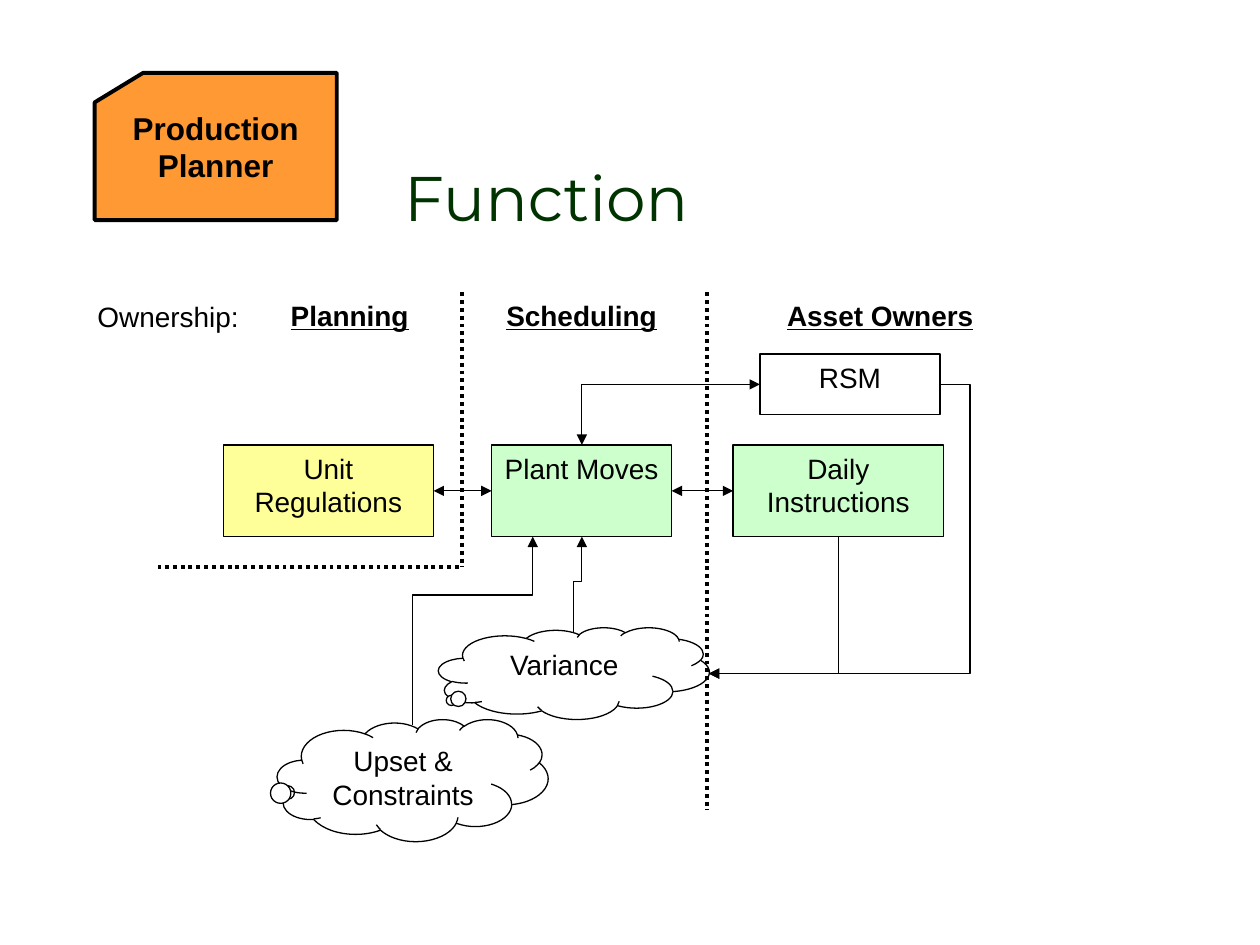
"""Build the production planner function slide."""
from lxml import etree
from pptx import Presentation
from pptx import util as u
from pptx.dml.color import RGBColor
from pptx.enum import dml, shapes, text
from pptx.oxml.ns import qn

KIND = shapes.MSO_SHAPE
LINK = shapes.MSO_CONNECTOR
BLACK, WHITE, GREEN = "000000", "FFFFFF", "CCFFCC"

TITLE = ("Function", (0.64, 3.07, 20.75, 1.78))
CARD = ("Production Planner", (1.91, 1.47, 4.88, 2.97))
BOXES = [
    ("Unit\nRegulations", (4.5, 8.97, 4.24, 1.85), "FFFF99"),
    ("Plant Moves", (9.91, 8.97, 3.63, 1.85), GREEN),
    ("Daily\nInstructions", (14.78, 8.97, 4.24, 1.85), GREEN),
    ("RSM", (15.32, 7.14, 3.63, 1.22), WHITE),
]
CLOUDS = [
    ("Variance", (8.84, 12.65, 5.46, 1.85), (-0.46, 0.3)),
    ("Upset & Constraints", (5.59, 14.5, 5.46, 2.46), (-0.46, 0.1)),
]
LABELS = [
    ("Planning", (4.88, 5.89, 4.34, 1.22), True),
    ("Scheduling", (9.91, 5.89, 3.63, 1.22), True),
    ("Asset Owners", (15.32, 5.89, 4.85, 1.22), True),
    ("Ownership:", (1.27, 5.92, 4.24, 1.22), False),
]
PAIRS = [("Unit\nRegulations", "Plant Moves"), ("Plant Moves", "Daily\nInstructions")]
# start, end, leaves upright, bend (None for a single corner), both heads
BENDS = [
    ((11.73, 8.97), (15.32, 7.75), True, None, True),
    ((16.9, 10.82), (14.29, 13.58), True, None, False),
    ((11.56, 12.75), (11.73, 10.82), True, 0.53, False),
    ((18.95, 7.75), (14.29, 13.58), False, -0.13, False),
    ((8.31, 14.62), (10.74, 10.82), True, 0.69, False),
]
DOTS = [
    ((14.26, 5.89), (14.26, 16.33)),
    ((9.31, 5.89), (9.31, 11.43)),
    ((9.25, 11.43), (3.18, 11.43)),
]


def rgb(code):
    return RGBColor.from_string(code)


def write(shape, words, size=16, face="Arial", color=BLACK, bold=False, under=False):
    frame = shape.text_frame
    frame.word_wrap = True
    frame.vertical_anchor = text.MSO_ANCHOR.TOP
    frame.text = words
    for para in frame.paragraphs:
        para.alignment = text.PP_ALIGN.CENTER
        for run in para.runs:
            font = run.font
            font.size, font.name = u.Pt(size), face
            font.bold, font.underline = bold, under
            font.color.rgb = rgb(color)


def draw(kind, place, fill, width=0.75):
    shape = tree.add_shape(kind, *map(u.Cm, place))
    shape.shadow.inherit = False
    shape.fill.solid()
    shape.fill.fore_color.rgb = rgb(fill)
    if width:
        shape.line.color.rgb = rgb(BLACK)
        shape.line.width = u.Pt(width)
    else:
        shape.line.fill.background()
    return shape


def join(kind, start, end, width=0.75, heads=()):
    wire = tree.add_connector(kind, *map(u.Cm, (*start, *end)))
    wire.line.color.rgb = rgb(BLACK)
    wire.line.width = u.Pt(width)
    etree.SubElement(wire._element.spPr, qn("a:effectLst"))
    for head in heads:
        etree.SubElement(wire.line._ln, qn(head), type="triangle")
    return wire


def bend(start, end, upright, turn, both):
    heads = ("a:headEnd", "a:tailEnd") if both else ("a:tailEnd",)
    if upright:
        (x1, y1), (x2, y2) = start, end
        mx, my = (x1 + x2) / 2, (y1 + y2) / 2
        dx, dy = (x2 - x1) / 2, (y2 - y1) / 2
        start, end = (mx - dy, my + dx), (mx + dy, my - dx)
    wire = join(LINK.ELBOW, start, end, heads=heads)
    props = wire._element.spPr
    if upright:
        props.find(qn("a:xfrm")).set("rot", "5400000")
    geom = props.find(qn("a:prstGeom"))
    if turn is None:
        geom.set("prst", "bentConnector2")
    else:
        guides = geom.find(qn("a:avLst"))
        if guides is None:
            guides = etree.SubElement(geom, qn("a:avLst"))
        etree.SubElement(guides, qn("a:gd"), name="adj1", fmla=f"val {round(turn * 100000)}")


deck = Presentation()
deck.slide_width, deck.slide_height = u.Cm(25.4), u.Cm(19.05)
tree = deck.slides.add_slide(deck.slide_layouts[6]).shapes

words, place = TITLE
title = tree.add_textbox(*map(u.Cm, place))
write(title, words, 36, "Montserrat", "003300")
title.text_frame.vertical_anchor = text.MSO_ANCHOR.BOTTOM

words, place = CARD
write(draw(KIND.FLOWCHART_CARD, place, "FF9933", 2.25), words, 18, bold=True)

nodes = {}
for words, place, fill in BOXES:
    nodes[words] = draw(KIND.RECTANGLE, place, fill)
    write(nodes[words], words)

for words, place, tail in CLOUDS:
    cloud = draw(KIND.CLOUD_CALLOUT, place, WHITE)
    cloud.adjustments[0], cloud.adjustments[1] = tail
    write(cloud, words)

for left, right in PAIRS:
    wire = join(LINK.STRAIGHT, (0, 0), (0, 0), heads=("a:headEnd", "a:tailEnd"))
    wire.begin_connect(nodes[left], 3)
    wire.end_connect(nodes[right], 1)

for row in BENDS:
    bend(*row)

for start, end in DOTS:
    join(LINK.STRAIGHT, start, end, 2.25).line.dash_style = dml.MSO_LINE.ROUND_DOT

for words, place, strong in LABELS:
    write(draw(KIND.RECTANGLE, place, WHITE, 0), words, bold=strong, under=strong)

deck.save("out.pptx")
